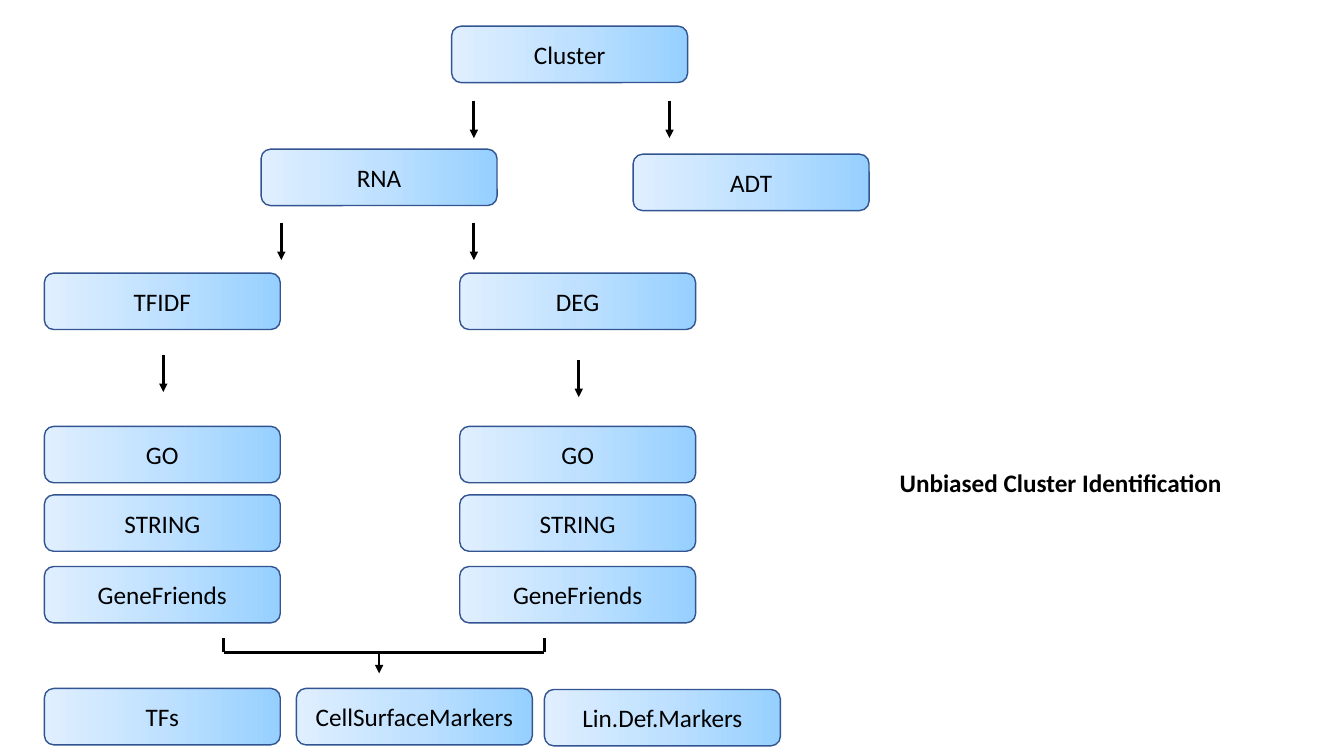
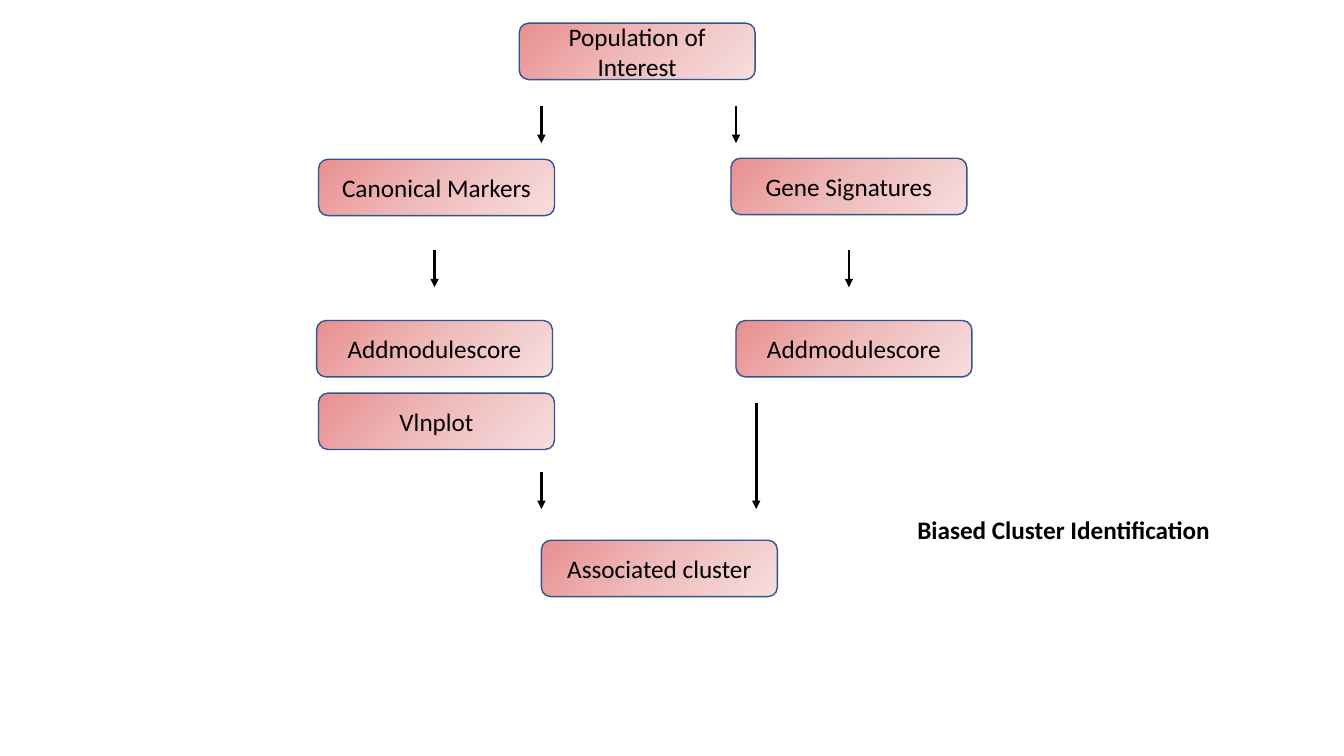
from copy import deepcopy
from dataclasses import dataclass

from lxml import etree
from pptx import Presentation
from pptx.dml.color import RGBColor
from pptx.enum import shapes, text
from pptx.oxml import ns
from pptx.util import Inches, Pt


@dataclass(frozen=True)
class Theme:
    """Colours, type and box size shared by both slides."""
    font: str = "Calibri"
    size: int = 18
    ink: str = "000000"
    edge: str = "325491"
    blue: tuple = ("96D0FF", "BFE1FF", "E0EFFF")
    red: tuple = ("E98F8F", "EFBCBC", "F7DEDE")
    wide: float = 2.34
    high: float = 0.56
    step: float = 0.37


look = Theme()


def put(slide, words, left, top, wide=look.wide, high=look.high,
        stops=None, turn=0, bold=False):
    """Add centred text, in a gradient box when stops are given."""
    area = [Inches(n) for n in (left, top, wide, high)]
    if stops:
        item = slide.shapes.add_shape(shapes.MSO_SHAPE.ROUNDED_RECTANGLE, *area)
        item.shadow.inherit = False
        item.fill.gradient()
        item.fill.gradient_angle = turn
        marks = next(item._element.spPr.iter(ns.qn("a:gsLst")))
        marks.append(deepcopy(marks[-1]))
        for stop, tone, place in zip(item.fill.gradient_stops, stops, (0, 0.5, 1)):
            stop.color.rgb = RGBColor.from_string(tone)
            stop.position = place
        item.line.color.rgb = RGBColor.from_string(look.edge)
        item.line.width = Pt(1)
    else:
        item = slide.shapes.add_textbox(*area)
    frame = item.text_frame
    frame.word_wrap = True
    if stops:
        frame.vertical_anchor = text.MSO_ANCHOR.MIDDLE
    else:
        frame.auto_size = text.MSO_AUTO_SIZE.SHAPE_TO_FIT_TEXT
    para = frame.paragraphs[0]
    para.alignment = text.PP_ALIGN.CENTER
    run = para.add_run()
    run.text = words
    run.font.name = look.font
    run.font.size = Pt(look.size)
    run.font.bold = bold
    run.font.color.rgb = RGBColor.from_string(look.ink)


def link(slide, x, y, x2, y2, arrow=True):
    """Draw a straight line, with an arrowhead at its end if asked."""
    line = slide.shapes.add_connector(
        shapes.MSO_CONNECTOR.STRAIGHT, *[Inches(n) for n in (x, y, x2, y2)])
    line.line.color.rgb = RGBColor.from_string(look.ink)
    line.line.width = Pt(2)
    if arrow:
        etree.SubElement(line.line._get_or_add_ln(), ns.qn("a:tailEnd"), type="triangle")
    etree.SubElement(line._element.spPr, ns.qn("a:effectLst"))


deck = Presentation()
deck.slide_width, deck.slide_height = Inches(13.33), Inches(7.5)
blank = deck.slide_layouts[6]

# Unbiased route
free = deck.slides.add_slide(blank)
boxes = [("Cluster", 4.48, 0.26), ("RNA", 2.59, 1.48), ("ADT", 6.28, 1.53),
         ("TFs", 0.44, 6.83), ("CellSurfaceMarkers", 2.94, 6.83),
         ("Lin.Def.Markers", 5.4, 6.84)]
for left, head in ((0.44, "TFIDF"), (4.56, "DEG")):
    boxes += [(head, left, 2.71), ("GO", left, 4.23),
              ("STRING", left, 4.91), ("GeneFriends", left, 5.62)]
for words, left, top in boxes:
    put(free, words, left, top, stops=look.blue, turn=180)
for x, y in ((4.7, 1), (6.64, 1), (2.79, 2.21), (4.7, 2.21), (1.62, 3.52), (5.74, 3.57)):
    link(free, x, y, x, y + look.step)

# Bracket that joins both columns
west, east, bar = 2.22, 5.4, 6.47
link(free, west, bar, east, bar, arrow=False)
for x in (west, east):
    link(free, x, bar, x, 6.33, arrow=False)
link(free, 3.76, bar, 3.76, 6.68)
put(free, "Unbiased Cluster Identification", 8.63, 4.59, 3.78, 0.4, bold=True)

# Biased route
bias = deck.slides.add_slide(blank)
for words, left, top in (
        ("Population of Interest", 5.15, 0.23),
        ("Canonical Markers", 3.16, 1.58), ("Gene Signatures", 7.25, 1.57),
        ("Addmodulescore", 3.14, 3.18), ("Addmodulescore", 7.3, 3.18),
        ("Vlnplot", 3.16, 3.9), ("Associated cluster", 5.37, 5.36)):
    put(bias, words, left, top, stops=look.red, turn=315)
for x, y in ((5.37, 1.05), (7.3, 1.05), (4.31, 2.48), (8.42, 2.48), (5.37, 4.68)):
    link(bias, x, y, x, y + look.step)
link(bias, 7.5, 4, 7.5, 5.05)
put(bias, "Biased Cluster Identification", 8.66, 5.05, 3.78, 0.4, bold=True)

deck.save("out.pptx")
